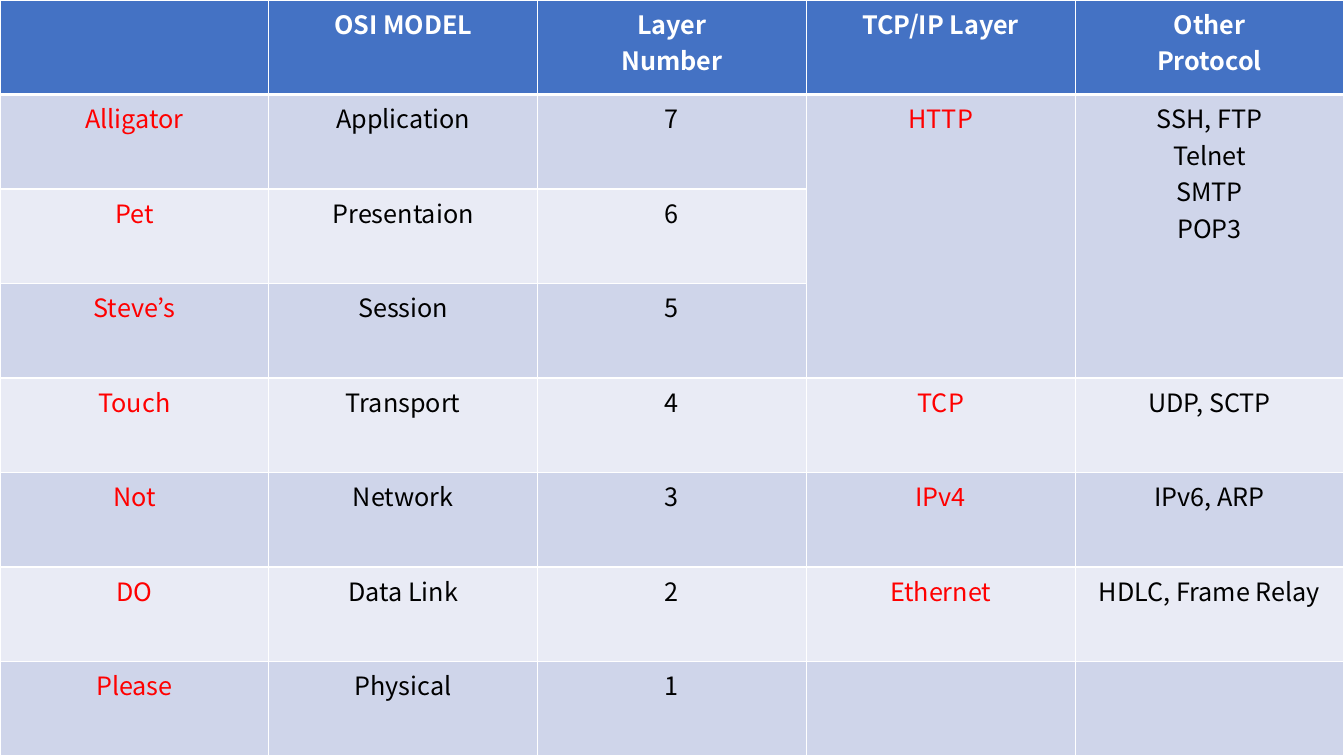
"""Build a slide with a table of OSI layers, mnemonics and protocols."""
from dataclasses import dataclass

from lxml import etree
from pptx import Presentation
from pptx.dml.color import RGBColor
from pptx.enum.text import PP_ALIGN
from pptx.oxml.ns import qn
from pptx.table import _Cell
from pptx.util import Pt

CENTER = PP_ALIGN.CENTER
FONT = "Noto Sans CJK KR"
SIZE = Pt(18)
WIDE, HIGH = Pt(960), Pt(540)
THIN, THICK = Pt(1), Pt(3)

WHITE = RGBColor(0xFF, 0xFF, 0xFF)
BLACK = RGBColor(0x00, 0x00, 0x00)
RED = RGBColor(0xFF, 0x00, 0x00)
BLUE = RGBColor(0x44, 0x72, 0xC4)
DARK = RGBColor(0xCF, 0xD5, 0xEA)
LIGHT = RGBColor(0xE9, 0xEB, 0xF5)


@dataclass(frozen=True)
class Layer:
    hint: str
    name: str
    level: str
    main: str = ""
    other: str = ""


HEAD = Layer("", "OSI MODEL", "Layer\nNumber", "TCP/IP Layer", "Other\nProtocol")
LAYERS = [
    Layer("Alligator", "Application", "7", "HTTP", "SSH, FTP\nTelnet\nSMTP\nPOP3"),
    Layer("Pet", "Presentaion", "6"),
    Layer("Steve’s", "Session", "5"),
    Layer("Touch", "Transport", "4", "TCP", "UDP, SCTP"),
    Layer("Not", "Network", "3", "IPv4", "IPv6, ARP"),
    Layer("DO", "Data Link", "2", "Ethernet", "HDLC, Frame Relay"),
    Layer("Please", "Physical", "1"),
]
INKS = [RED, BLACK, BLACK, RED, BLACK]
MERGED = (3, 4)


def edge(cell: _Cell, top: int, bottom: int) -> None:
    """Draw white lines on all four sides of a cell."""
    props = cell._tc.get_or_add_tcPr()
    for side, width in (("L", THIN), ("R", THIN), ("T", top), ("B", bottom)):
        line = etree.SubElement(props, qn(f"a:ln{side}"), w=str(int(width)))
        fill = etree.SubElement(line, qn("a:solidFill"))
        etree.SubElement(fill, qn("a:srgbClr"), val=str(WHITE))


def write(cell: _Cell, text: str, ink: RGBColor, bold: bool) -> None:
    """Write each line of the text as a centred paragraph."""
    frame = cell.text_frame
    for num, line in enumerate(text.split("\n")):
        para = frame.add_paragraph() if num else frame.paragraphs[0]
        para.alignment = CENTER
        para.font.size = SIZE
        if line:
            run = para.add_run()
            run.text = line
            font = run.font
            font.name, font.size, font.bold = FONT, SIZE, bold
            font.color.rgb = ink


def main() -> None:
    """Create the deck and save it."""
    deck = Presentation()
    deck.slide_width, deck.slide_height = WIDE, HIGH
    slide = deck.slides.add_slide(deck.slide_layouts[6])
    rows = [HEAD, *LAYERS]
    table = slide.shapes.add_table(len(rows), len(INKS), 0, 0, WIDE, HIGH).table
    for col in MERGED:
        table.cell(1, col).merge(table.cell(3, col))
    for row, layer in enumerate(rows):
        head = row == 0
        fill = BLUE if head else DARK if row % 2 else LIGHT
        texts = (layer.hint, layer.name, layer.level, layer.main, layer.other)
        for col, (text, ink) in enumerate(zip(texts, INKS)):
            cell = table.cell(row, col)
            if cell.is_spanned:
                continue
            edge(cell, THICK if row == 1 else THIN, THICK if head else THIN)
            cell.fill.solid()
            cell.fill.fore_color.rgb = fill
            write(cell, text, WHITE if head else ink, head)
    deck.save("out.pptx")


main()
